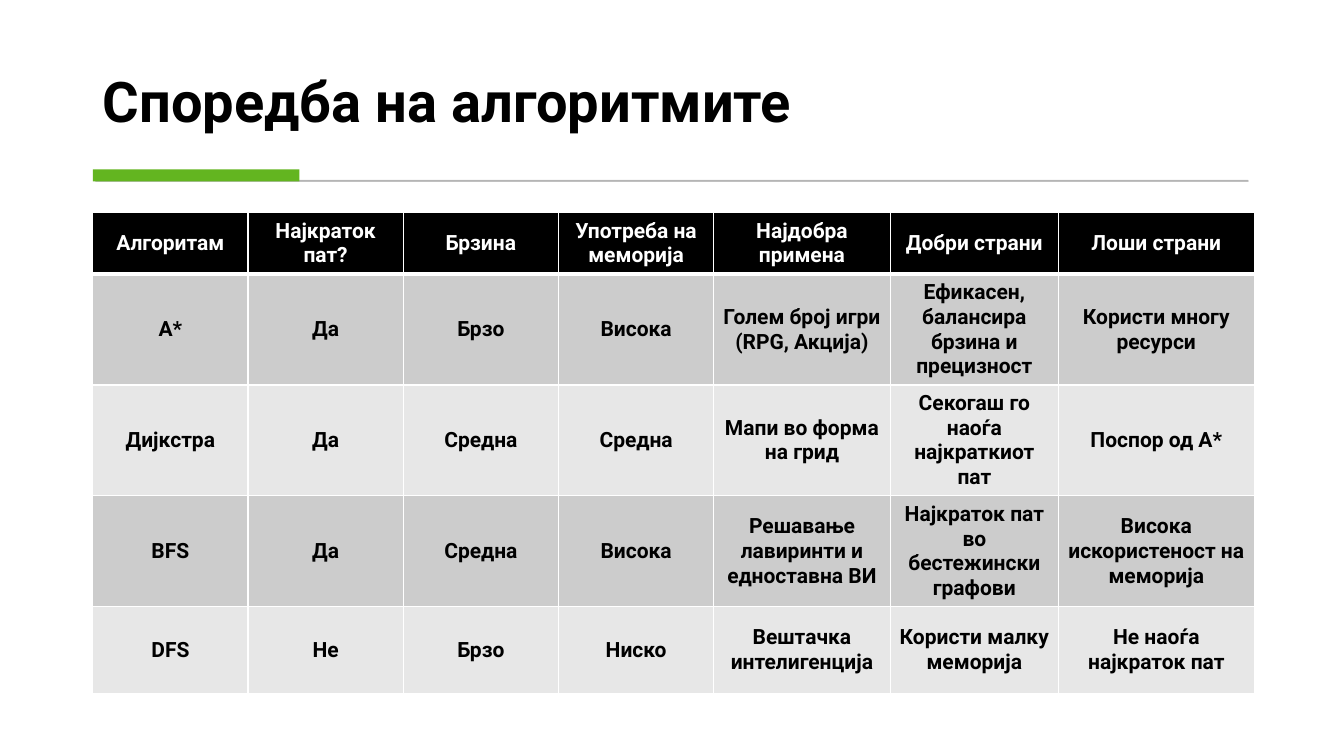
"""Builds a slide with a table that compares path-finding algorithms."""
import pptx
import pptx.dml.color
import pptx.enum.shapes
import pptx.enum.text
import pptx.oxml
import pptx.oxml.ns
import pptx.util
from lxml import etree

TITLE = "Споредба на алгоритмите"
ROWS = [
    ("Алгоритам", "Најкраток пат?", "Брзина", "Употреба на меморија",
     "Најдобра примена", "Добри страни", "Лоши страни"),
    ("А*", "Да", "Брзо", "Висока", "Голем број игри (RPG, Акција)",
     "Ефикасен, балансира брзина и прецизност", "Користи многу ресурси"),
    ("Дијкстра", "Да", "Средна", "Средна", "Мапи во форма на грид",
     "Секогаш го наоѓа најкраткиот пат", "Поспор од А*"),
    ("BFS", "Да", "Средна", "Висока", "Решавање лавиринти и едноставна ВИ",
     "Најкраток пат во бестежински графови", "Висока искористеност на меморија"),
    ("DFS", "Не", "Брзо", "Ниско", "Вештачка интелигенција",
     "Користи малку меморија", "Не наоѓа најкраток пат"),
]
COLORS = {"white": "FFFFFF", "black": "000000", "green": "63B520",
          "rule": "595959", "dark": "CCCCCC", "light": "E7E7E7"}
FONT = "Roboto"
LEFT = 0.92
COL_WIDTHS = [1.54] * 4 + [1.75, 1.67, 1.94]
ROW_HEIGHTS = [0.61] + [1.1] * 3 + [0.86]

inch = pptx.util.Inches
qn = pptx.oxml.ns.qn


def rgb(name):
    return pptx.dml.color.RGBColor.from_string(COLORS[name])


def set_text(tf, text, size, color, align, anchor):
    tf.word_wrap = True
    tf.vertical_anchor = anchor
    p = tf.paragraphs[0]
    p.alignment = align
    r = p.add_run()
    r.text = text
    r.font.name, r.font.size, r.font.bold = FONT, pptx.util.Pt(size), True
    r.font.color.rgb = rgb(color)
    return p


def add_bar(s, left, top, width, height, color):
    sp = s.shapes.add_shape(pptx.enum.shapes.MSO_SHAPE.RECTANGLE,
                            *map(inch, (left, top, width, height)))
    sp.shadow.inherit = False
    sp.fill.solid()
    sp.fill.fore_color.rgb = rgb(color)
    sp.line.fill.background()
    return sp


def add_borders(cell, bottom):
    tc_pr = cell._tc.get_or_add_tcPr()
    for side, width in (("L", 1), ("R", 1), ("T", 1), ("B", bottom)):
        ln = etree.SubElement(tc_pr, qn(f"a:ln{side}"), w=str(pptx.util.Pt(width)))
        fill = etree.SubElement(ln, qn("a:solidFill"))
        etree.SubElement(fill, qn("a:srgbClr"), val=COLORS["white"])


def add_title(s):
    sp = s.shapes.title
    sp.left, sp.top, sp.width, sp.height = map(inch, (LEFT, 0.28, 11.49, 1.11))
    p = set_text(sp.text_frame, TITLE, 40, "black", pptx.enum.text.PP_ALIGN.LEFT,
                 pptx.enum.text.MSO_ANCHOR.BOTTOM)
    p.line_spacing = 0.9


def add_rule(s):
    sp = add_bar(s, 0.95, 1.79, 11.43, 0.01, "rule")
    sp.line.color.rgb = rgb("rule")
    sp.line.width = pptx.util.Pt(0.75)
    for clr in sp._element.spPr.iter(qn("a:srgbClr")):
        etree.SubElement(clr, qn("a:alpha"), val="30000")
    add_bar(s, LEFT, 1.68, 2.05, 0.12, "green")


def add_comparison(s):
    frame = s.shapes.add_table(len(ROWS), len(COL_WIDTHS), inch(LEFT), inch(2.11),
                               inch(sum(COL_WIDTHS)), inch(sum(ROW_HEIGHTS)))
    table = frame.table
    for col, width in zip(table.columns, COL_WIDTHS):
        col.width = inch(width)
    for i, (row, height, texts) in enumerate(zip(table.rows, ROW_HEIGHTS, ROWS)):
        row.height = inch(height)
        header = i == 0
        fill = "black" if header else ("light", "dark")[i % 2]
        for cell, text in zip(row.cells, texts):
            cell.margin_left = cell.margin_right = inch(0.08)
            cell.margin_top = cell.margin_bottom = inch(0.04)
            add_borders(cell, 3 if header else 1)
            if i == 1:
                cell._tc.tcPr.find(qn("a:lnT")).set("w", str(pptx.util.Pt(3)))
            cell.fill.solid()
            cell.fill.fore_color.rgb = rgb(fill)
            set_text(cell.text_frame, text, 15, "white" if header else "black",
                     pptx.enum.text.PP_ALIGN.CENTER, None)
            cell.vertical_anchor = pptx.enum.text.MSO_ANCHOR.MIDDLE


def main():
    prs = pptx.Presentation()
    prs.slide_width, prs.slide_height = inch(13.33), inch(7.5)
    s = prs.slides.add_slide(prs.slide_layouts[5])
    add_title(s)
    add_rule(s)
    add_comparison(s)
    prs.save("out.pptx")


if __name__ == "__main__":
    main()
